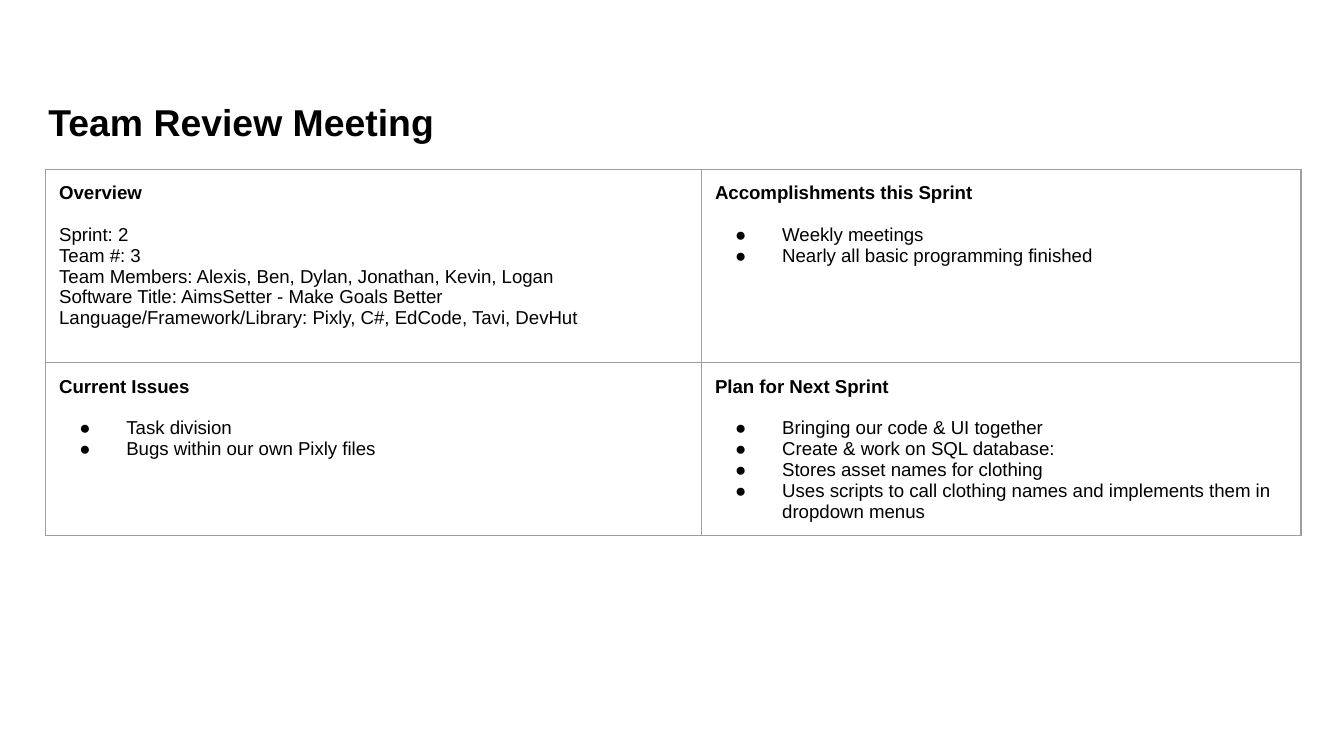
"""Build a team review slide: a title above a two by two table."""
from lxml.etree import SubElement
from pptx import Presentation
from pptx.dml.color import RGBColor
from pptx.enum.text import MSO_ANCHOR, PP_ALIGN
from pptx.oxml.ns import qn
from pptx.util import Inches, Pt

MIDDLE, LEFT = MSO_ANCHOR.MIDDLE, PP_ALIGN.LEFT
FONT = "Arial"
COLORS = {"text": "000000", "line": "9E9E9E"}

TITLE = "Team Review Meeting"
CELLS = [
    [
        {"head": "Overview", "list": False, "lines": [
            "Sprint: 2",
            "Team #: 3",
            "Team Members: Alexis, Ben, Dylan, Jonathan, Kevin, Logan",
            "Software Title: AimsSetter - Make Goals Better",
            "Language/Framework/Library: Pixly, C#, EdCode, Tavi, DevHut",
        ]},
        {"head": "Accomplishments this Sprint", "list": True, "lines": [
            "Weekly meetings",
            "Nearly all basic programming finished",
        ]},
    ],
    [
        {"head": "Current Issues", "list": True, "lines": [
            "Task division",
            "Bugs within our own Pixly files",
        ]},
        {"head": "Plan for Next Sprint", "list": True, "lines": [
            "Bringing our code & UI together",
            "Create & work on SQL database:",
            "Stores asset names for clothing",
            "Uses scripts to call clothing names and implements them in dropdown menus",
        ]},
    ],
]
COLS, ROWS = [4.88, 4.46], [1.44, 1.28]


def add_run(para, text, size, bold):
    run = para.add_run()
    run.text = text
    font = run.font
    font.name, font.size, font.bold = FONT, Pt(size), bold
    font.color.rgb = RGBColor.from_string(COLORS["text"])


def add_color(node, name):
    SubElement(node, qn("a:srgbClr"), val=COLORS[name])


def add_bullet(para):
    props = para._p.get_or_add_pPr()
    props.set("marL", str(Inches(0.5)))
    props.set("indent", str(Inches(-0.35)))
    add_color(SubElement(props, qn("a:buClr")), "text")
    SubElement(props, qn("a:buFont"), typeface=FONT)
    SubElement(props, qn("a:buChar"), char="●")


def add_border(cell):
    props = cell._tc.get_or_add_tcPr()
    for i, side in enumerate("LRTB"):
        line = SubElement(props, qn(f"a:ln{side}"), w=str(Pt(0.75)))
        add_color(SubElement(line, qn("a:solidFill")), "line")
        props.insert(i, line)


def set_inset(box):
    box.margin_left = box.margin_right = Inches(0.1)
    box.margin_top = box.margin_bottom = Inches(0.1)


def fill_cell(cell, data):
    set_inset(cell)
    cell.fill.background()
    add_border(cell)
    frame = cell.text_frame
    head = frame.paragraphs[0]
    head.space_after = Pt(11.2)
    add_run(head, data["head"], 10, True)
    for text in data["lines"]:
        para = frame.add_paragraph()
        if data["list"]:
            add_bullet(para)
        add_run(para, text, 10, False)


def main():
    deck = Presentation()
    deck.slide_width = Inches(10)
    deck.slide_height = deck.slide_width * 9 // 16
    slide = deck.slides.add_slide(deck.slide_layouts[5])

    title = slide.shapes.title
    title.left, title.top = Inches(0.26), Inches(0.63)
    title.width, title.height = Inches(3.24), Inches(0.63)
    frame = title.text_frame
    set_inset(frame)
    frame.margin_bottom = Inches(0.18)
    frame.vertical_anchor = MIDDLE
    para = frame.paragraphs[0]
    para.alignment = LEFT
    add_run(para, TITLE, 20, True)

    table = slide.shapes.add_table(
        len(ROWS), len(COLS), Inches(0.34), Inches(1.26),
        Inches(sum(COLS)), Inches(sum(ROWS))).table
    table.first_row = table.horz_banding = False
    for col, width in zip(table.columns, COLS):
        col.width = Inches(width)
    for row, height, items in zip(table.rows, ROWS, CELLS):
        row.height = Inches(height)
        for cell, data in zip(row.cells, items):
            fill_cell(cell, data)

    deck.save("out.pptx")


if __name__ == "__main__":
    main()
